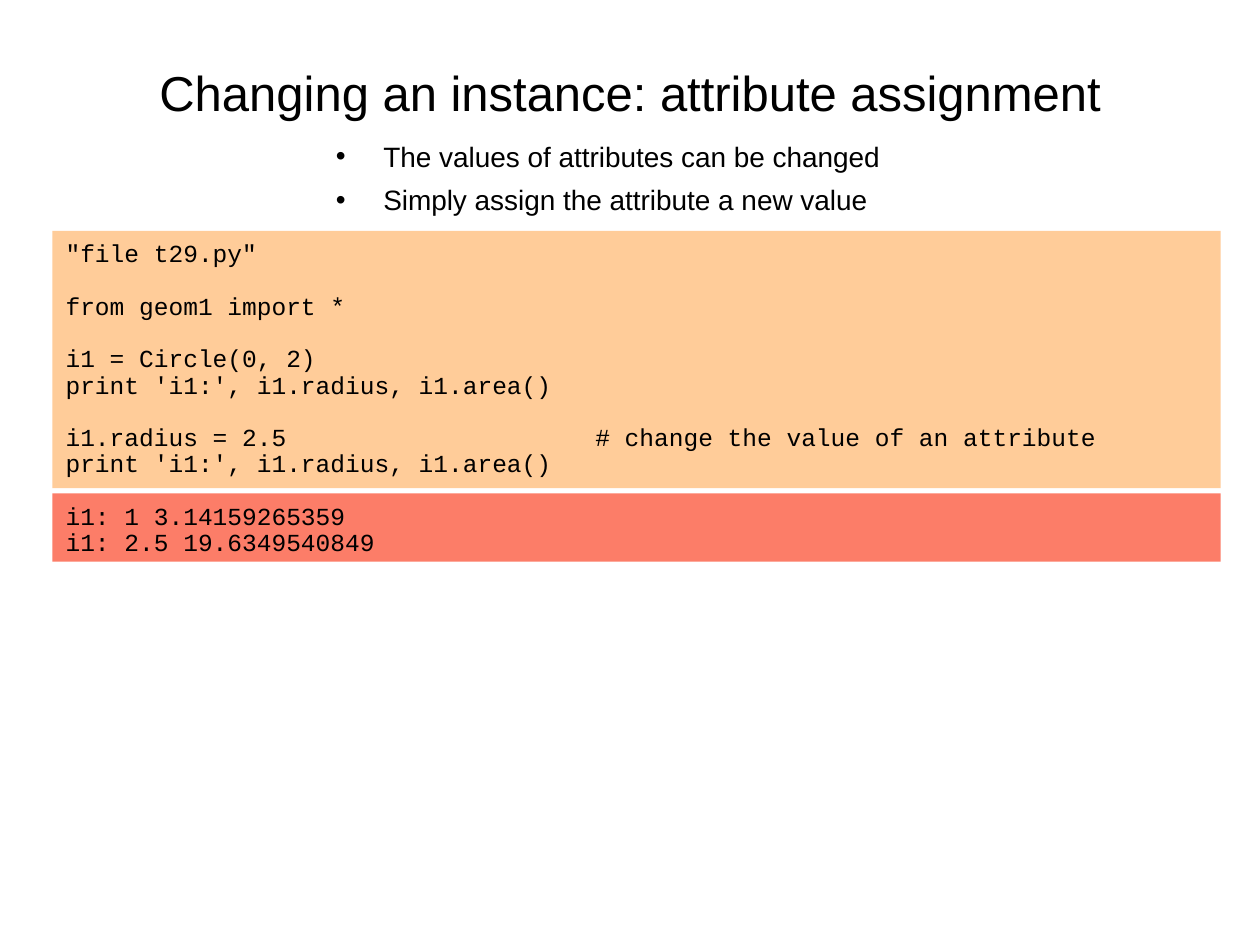
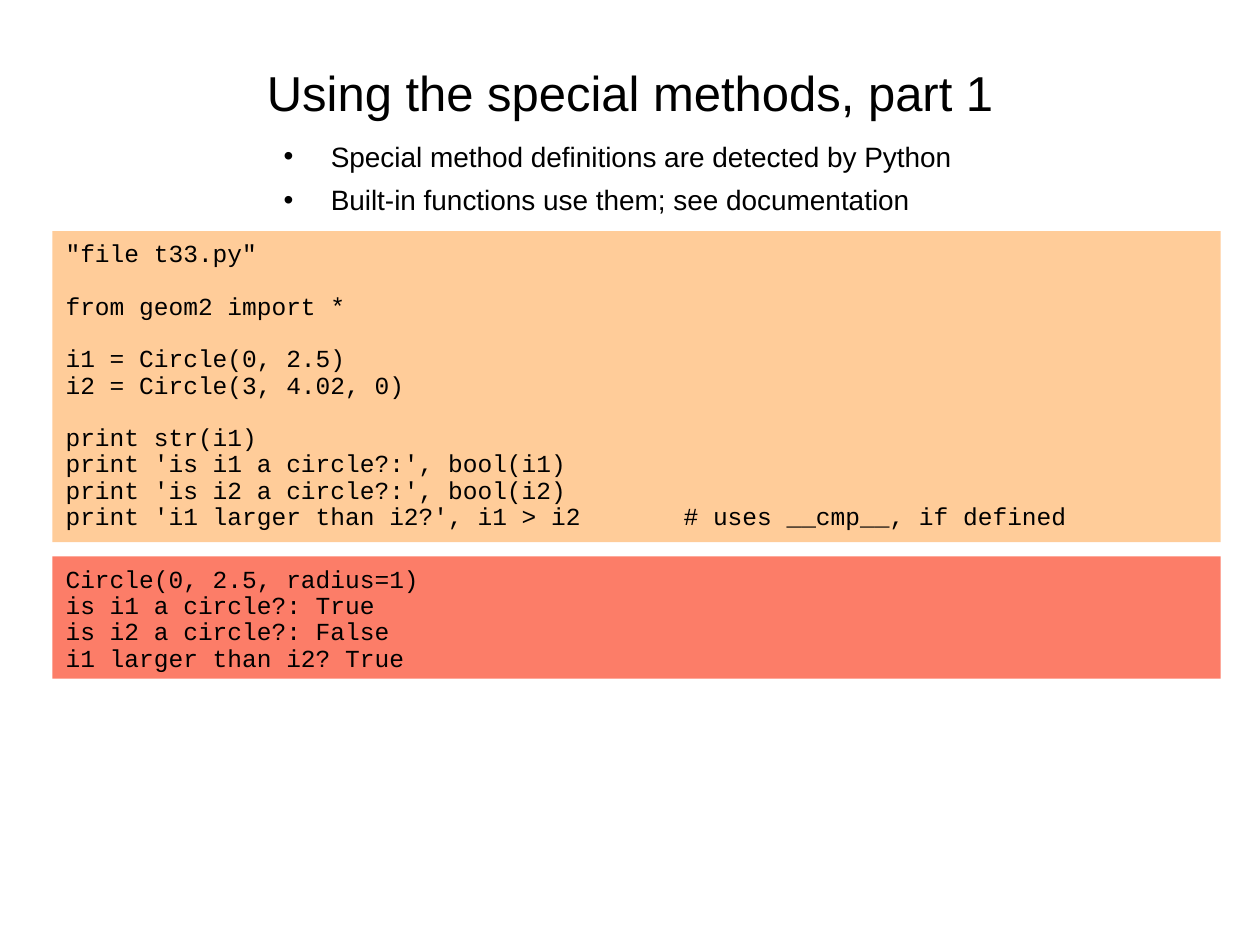
from dataclasses import dataclass
from typing import NamedTuple

from lxml.etree import SubElement as Sub
from pptx import Presentation
from pptx.dml.color import RGBColor as Rgb
from pptx.enum.shapes import MSO_SHAPE as Shape
from pptx.enum.text import MSO_ANCHOR as Anchor, PP_ALIGN as Align
from pptx.oxml.ns import qn
from pptx.util import Emu, Pt

SCALE = 9525  # EMU in one px


def px(size: int) -> Emu:
    return Emu(size * SCALE)


@dataclass(frozen=True)
class Theme:
    ink: Rgb = Rgb(0, 0, 0)
    paper: Rgb = Rgb(255, 255, 255)
    code: Rgb = Rgb.from_string("FFCC99")
    output: Rgb = Rgb.from_string("FC7D68")
    sans: str = "Arial"
    mono: str = "Courier New"
    head: int = 28
    body: int = 16
    small: int = 14
    pitch: int = 15
    gap: int = 5


class Box(NamedTuple):
    left: int
    top: int
    width: int
    height: int


class Panel(NamedTuple):
    top: int
    height: int
    fill: Rgb
    text: str


class Page(NamedTuple):
    title: str
    list_box: Box
    points: tuple[str, ...]
    panels: tuple[Panel, ...]


THEME = Theme()
TITLE = Box(72, 42, 816, 55)
LEFT, WIDTH = 40, 890
INDENT = 36

FRAME = {"word_wrap": True, "vertical_anchor": Anchor.TOP, "margin_left": 0,
         "margin_right": 0, "margin_top": 0, "margin_bottom": 0}
INSET = {"margin_left": px(10), "margin_right": px(10),
         "margin_top": px(8), "margin_bottom": px(8)}
HEAD = {"name": THEME.sans, "size": Pt(THEME.head)}
BODY = {"name": THEME.sans, "size": Pt(THEME.body)}
MONO = {"name": THEME.mono, "size": Pt(THEME.small)}

PAGES = (
    Page(
        "Changing an instance: attribute assignment",
        Box(256, 105, 448, 64),
        ("The values of attributes can be changed",
         "Simply assign the attribute a new value"),
        (Panel(176, 196, THEME.code, """\
"file t29.py"

from geom1 import *

i1 = Circle(0, 2)
print 'i1:', i1.radius, i1.area()

i1.radius = 2.5                     # change the value of an attribute
print 'i1:', i1.radius, i1.area()"""),
         Panel(376, 52, THEME.output, """\
i1: 1 3.14159265359
i1: 2.5 19.6349540849""")),
    ),
    Page(
        "Using the special methods, part 1",
        Box(216, 105, 560, 64),
        ("Special method definitions are detected by Python",
         "Built-in functions use them; see documentation"),
        (Panel(176, 237, THEME.code, """\
"file t33.py"

from geom2 import *

i1 = Circle(0, 2.5)
i2 = Circle(3, 4.02, 0)

print str(i1)
print 'is i1 a circle?:', bool(i1)
print 'is i2 a circle?:', bool(i2)
print 'i1 larger than i2?', i1 > i2       # uses __cmp__, if defined"""),
         Panel(424, 93, THEME.output, """\
Circle(0, 2.5, radius=1)
is i1 a circle?: True
is i2 a circle?: False
i1 larger than i2? True""")),
    ),
)


def apply(target, form: dict) -> None:
    for name, value in form.items():
        setattr(target, name, value)


def add_line(frame, text: str, font: dict, form: dict, bullet: bool = False) -> None:
    """Fill the empty first paragraph, or append one."""
    first = frame.paragraphs[0]
    para = frame.add_paragraph() if first.runs else first
    if bullet:
        props = para._p.get_or_add_pPr()
        props.set("marL", str(px(INDENT)))
        props.set("indent", str(-px(INDENT)))
        Sub(props, qn("a:buFont"), typeface=THEME.sans)
        Sub(props, qn("a:buChar"), char="•")
    apply(para, form)
    run = para.add_run()
    run.text = text
    apply(run.font, font)
    run.font.color.rgb = THEME.ink


def add_text(slide, box: Box, form: dict):
    frame = slide.shapes.add_textbox(*map(px, box)).text_frame
    apply(frame, FRAME | form)
    return frame


def add_panel(slide, panel: Panel) -> None:
    """Draw a code block; blank code lines become space before the next line."""
    box = Box(LEFT, panel.top, WIDTH, panel.height)
    shape = slide.shapes.add_shape(Shape.ROUNDED_RECTANGLE, *map(px, box))
    shape.adjustments[0] = 0
    shape.shadow.inherit = False
    shape.fill.solid()
    shape.fill.fore_color.rgb = panel.fill
    shape.line.fill.background()
    frame = shape.text_frame
    apply(frame, FRAME | INSET)
    for part, block in enumerate(panel.text.split("\n\n")):
        for row, text in enumerate(block.split("\n")):
            gap = THEME.pitch if part and not row else 0
            add_line(frame, text, MONO, {
                "alignment": Align.LEFT, "line_spacing": Pt(THEME.pitch),
                "space_before": Pt(gap)})


def add_page(deck, page: Page) -> None:
    slide = deck.slides.add_slide(deck.slide_layouts[6])
    slide.background.fill.solid()
    slide.background.fill.fore_color.rgb = THEME.paper
    title = add_text(slide, TITLE, {"vertical_anchor": Anchor.MIDDLE})
    add_line(title, page.title, HEAD,
             {"alignment": Align.CENTER, "line_spacing": 1.04})
    points = add_text(slide, page.list_box, {})
    for row, text in enumerate(page.points):
        add_line(points, text, BODY, {
            "line_spacing": 1.04, "space_before": Pt(THEME.gap if row else 0)},
            bullet=True)
    for panel in page.panels:
        add_panel(slide, panel)


def main() -> None:
    deck = Presentation()
    apply(deck, {"slide_width": px(960), "slide_height": px(720)})
    for page in PAGES:
        add_page(deck, page)
    deck.save("out.pptx")


if __name__ == "__main__":
    main()
